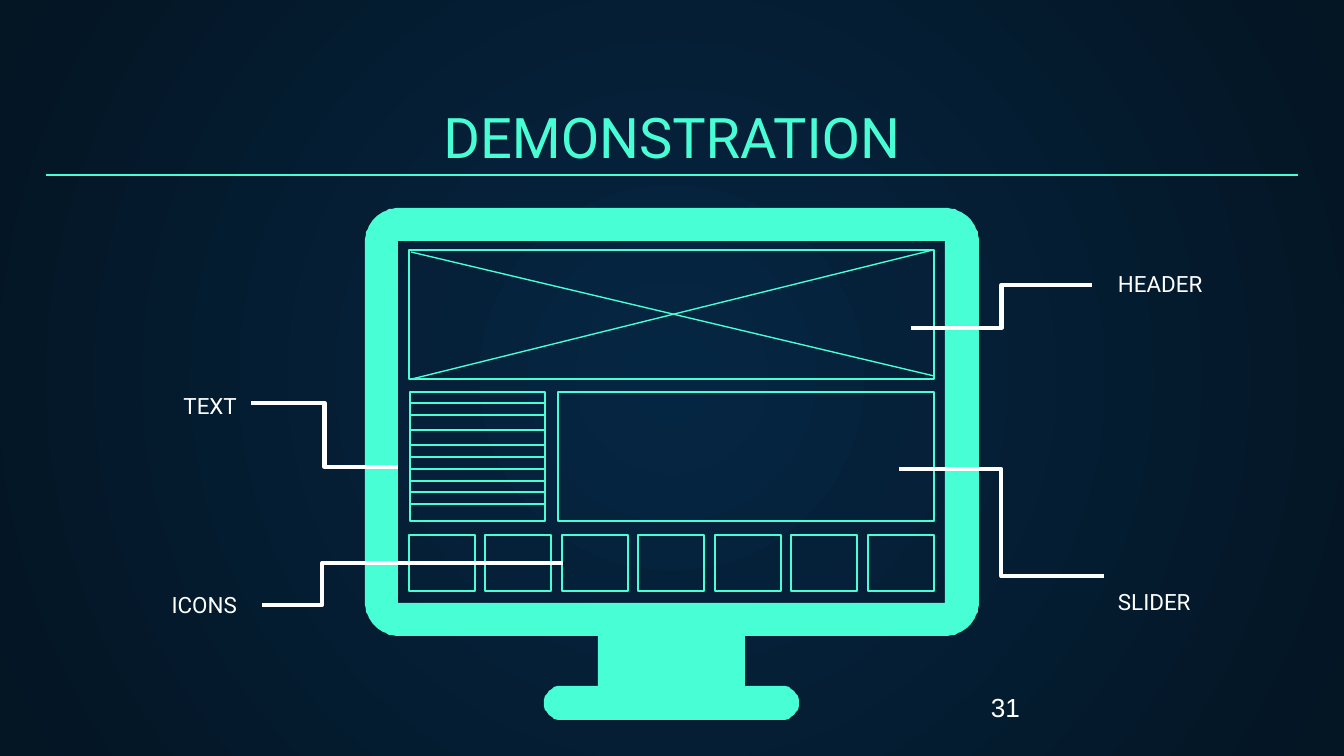
from math import cos, radians, sin

from lxml import etree
from pptx import Presentation
from pptx.dml.color import RGBColor
from pptx.enum.shapes import MSO_CONNECTOR, MSO_SHAPE
from pptx.enum.text import MSO_ANCHOR, PP_ALIGN
from pptx.oxml.ns import qn
from pptx.util import Pt

PX = 914400 / 134.4
MINT, WHITE = "48FFD5", "FFFFFF"
RECTANGLE = MSO_SHAPE.RECTANGLE
STRAIGHT, ELBOW = MSO_CONNECTOR.STRAIGHT, MSO_CONNECTOR.ELBOW
LEFT, CENTER, RIGHT = PP_ALIGN.LEFT, PP_ALIGN.CENTER, PP_ALIGN.RIGHT
TOP, BOTTOM = MSO_ANCHOR.TOP, MSO_ANCHOR.BOTTOM


def px(*lengths):
    return [round(length * PX) for length in lengths]


def color(hex_code):
    return RGBColor.from_string(hex_code)


def arc(cx, cy, radius, start, sweep, steps=16):
    angles = [radians(start + sweep * i / steps) for i in range(steps + 1)]
    return [(cx + radius * cos(a), cy + radius * sin(a)) for a in angles]


class Wireframe:
    def __init__(self, slide):
        self.slide = slide
        self.shapes = slide.shapes

    def background(self, inner, outer):
        fill = self.slide.background.fill
        fill.gradient()
        for stop, hex_code, position in zip(fill.gradient_stops, (inner, outer), (0, 1)):
            stop.color.rgb = color(hex_code)
            stop.position = position
        linear = next(self.slide.element.iter(qn("a:lin")))
        radial = etree.Element(qn("a:path"), path="circle")
        etree.SubElement(radial, qn("a:fillToRect"), l="50000", t="50000", r="50000", b="50000")
        linear.getparent().replace(linear, radial)

    def text(self, words, box, *, size=12, font="Roboto", fill=WHITE, align=LEFT,
             anchor=TOP, spacing=1.0, inset=13):
        frame = self.shapes.add_textbox(*px(*box)).text_frame
        frame.word_wrap = True
        frame.vertical_anchor = anchor
        frame.margin_left, frame.margin_right = px(13, 13)
        frame.margin_top, frame.margin_bottom = px(inset, inset)
        paragraph = frame.paragraphs[0]
        paragraph.alignment = align
        paragraph.line_spacing = spacing
        run = paragraph.add_run()
        run.text = words
        run.font.size = Pt(size)
        run.font.name = font
        run.font.color.rgb = color(fill)

    def panel(self, *box):
        panel = self.shapes.add_shape(RECTANGLE, *px(*box))
        panel.shadow.inherit = False
        panel.fill.background()
        panel.line.color.rgb = color(MINT)
        panel.line.width = Pt(0.75)

    def line(self, *ends, kind=STRAIGHT, stroke=MINT, width=0.75, bend=None):
        line = self.shapes.add_connector(kind, *px(*ends))
        line.line.color.rgb = color(stroke)
        line.line.width = Pt(width)
        properties = line._element.spPr
        etree.SubElement(properties, qn("a:effectLst"))
        if bend is not None:
            guides = next(properties.iter(qn("a:avLst")))
            etree.SubElement(guides, qn("a:gd"), name="adj1", fmla=f"val {round(bend * 100000)}")

    def callout(self, *ends, bend=0.5):
        self.line(*ends, kind=ELBOW, stroke=WHITE, width=2.25, bend=bend)

    def outline(self, *contours):
        first, *others = contours
        builder = self.shapes.build_freeform(*first[0], scale=PX)
        builder.add_line_segments(first[1:])
        for contour in others:
            builder.move_to(*contour[0])
            builder.add_line_segments(contour[1:])
        body = builder.convert_to_shape()
        body.shadow.inherit = False
        body.fill.solid()
        body.fill.fore_color.rgb = color(MINT)
        body.line.fill.background()


def main():
    deck = Presentation()
    deck.slide_width, deck.slide_height = px(1344, 756)
    page = Wireframe(deck.slides.add_slide(deck.slide_layouts[6]))
    page.background("052643", "041523")
    page.text("DEMONSTRATION", (46, 94, 1252, 89), size=30, fill=MINT, align=CENTER, anchor=BOTTOM)

    casing = (arc(399, 242, 34, 180, 90) + arc(945, 242, 34, 270, 90)
              + arc(945, 602, 34, 0, 90) + [(745, 636), (745, 686)]
              + arc(782, 703, 17, 270, 180) + arc(561, 703, 17, 90, 180)
              + [(598, 686), (598, 636)] + arc(399, 602, 34, 90, 90))
    screen = [(945, 241), (945, 603), (398, 603), (398, 241)]
    page.outline(casing, screen)

    page.panel(409, 250, 525, 129)
    page.panel(410, 392, 135, 129)
    page.panel(558, 392, 376, 129)
    for icon in range(7):
        page.panel(409 + icon * 153 // 2, 535, 66, 56)

    page.line(411, 252, 934, 376)
    page.line(412, 379, 933, 250)
    for y in (403, 415, 430, 445, 457, 469, 481, 492, 504):
        page.line(410, y, 544, y)

    for words, x, y, align, spacing in (
        ("HEADER", 1105, 257, LEFT, 1.0),
        ("TEXT", 94, 379, RIGHT, 1.0),
        ("SLIDER", 1105, 548, LEFT, 2.0),
        ("ICONS", 94, 578, RIGHT, 1.0),
    ):
        page.text(words, (x, y, 156, 28), align=align, spacing=spacing)

    page.callout(251, 403, 398, 467)
    page.callout(262, 605, 563, 563, bend=0.2)
    page.callout(911, 328, 1092, 285)
    page.callout(899, 469, 1104, 576)

    page.line(46, 175, 1298, 175)
    page.text("31", (978, 684, 102, 46), size=14, font="Arial", inset=7)
    deck.save("out.pptx")


if __name__ == "__main__":
    main()
